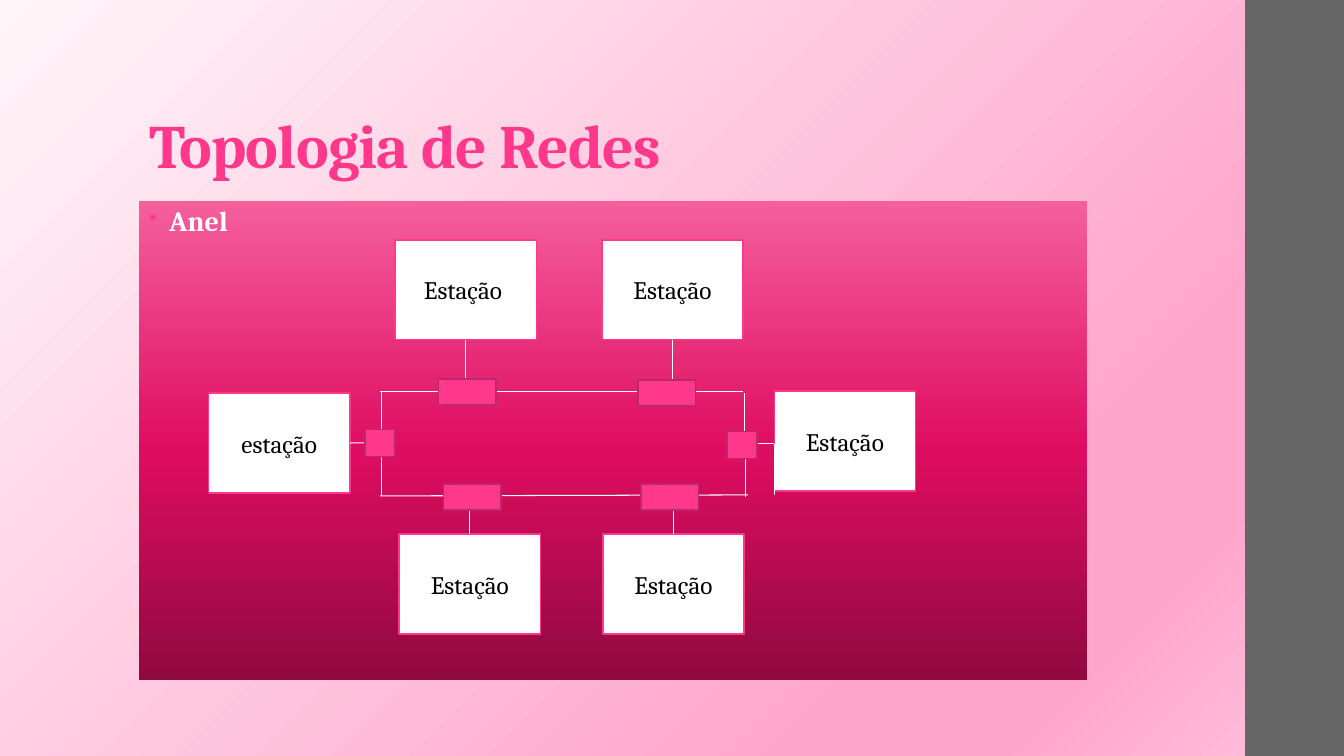
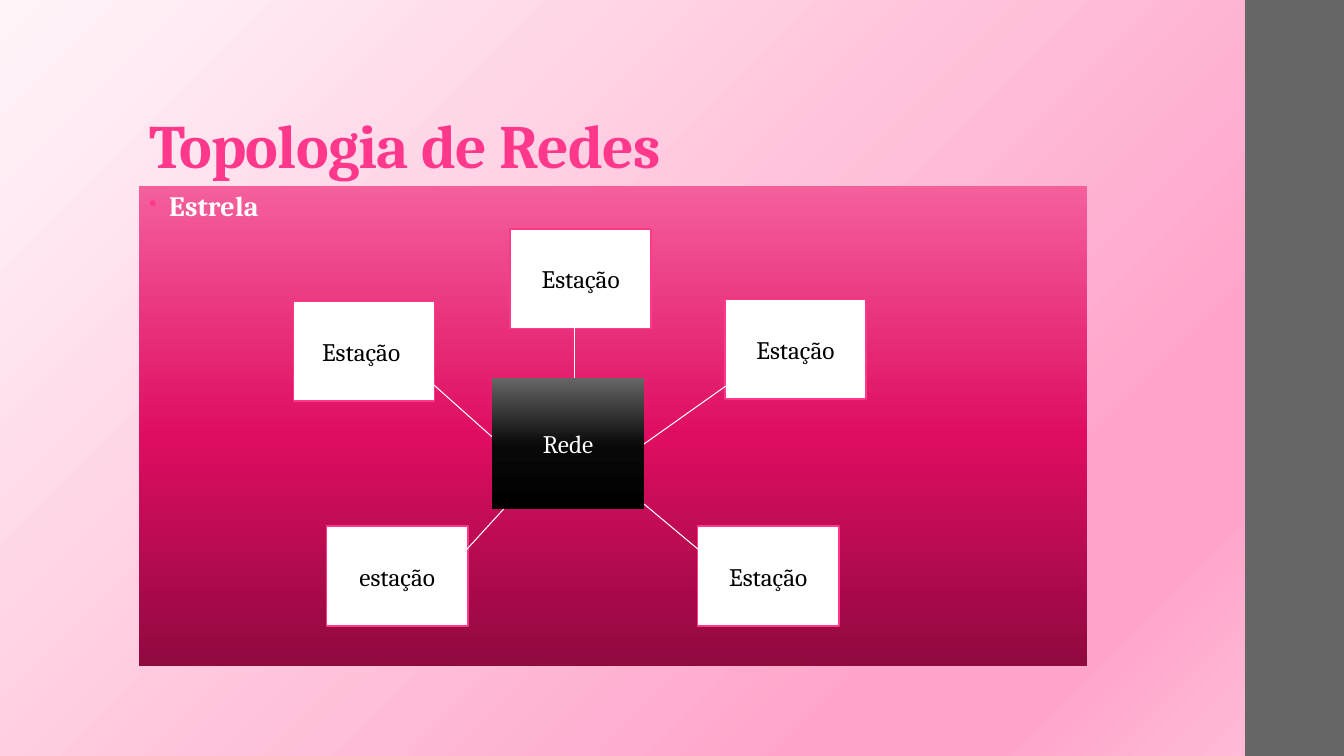
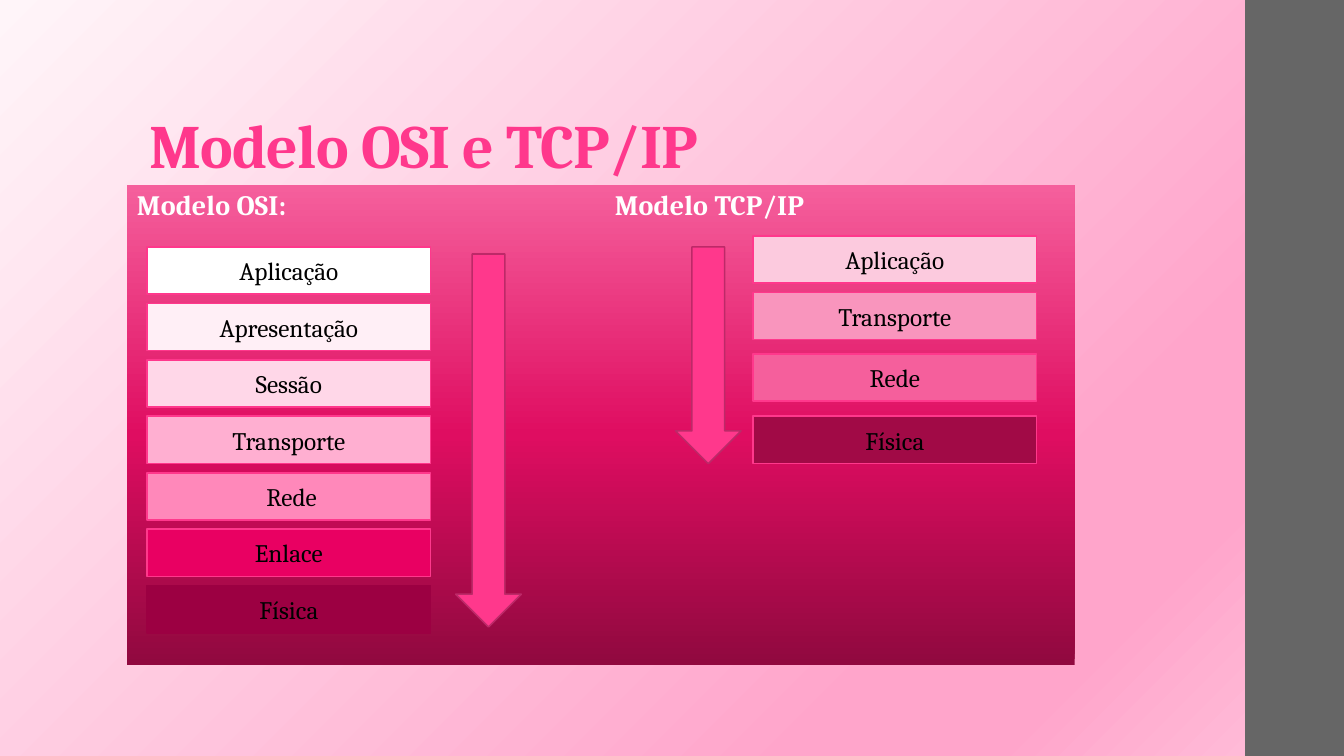
from dataclasses import dataclass

from lxml.etree import SubElement
from pptx import Presentation
from pptx.dml.color import RGBColor
from pptx.enum.shapes import MSO_CONNECTOR as Connector, MSO_SHAPE as Preset
from pptx.enum.text import MSO_ANCHOR as Anchor, PP_ALIGN as Align
from pptx.oxml.ns import qn
from pptx.util import Inches, Pt


@dataclass(frozen=True)
class Gradient:
    stops: tuple  # (percent, colour)
    angle: int    # counter-clockwise degrees


@dataclass(frozen=True)
class Theme:
    font: str = "Cambria"
    title_size: int = 44
    heading_size: int = 20
    label_size: int = 18
    accent: str = "FF388C"
    accent_dark: str = "BD2968"
    white: str = "FFFFFF"
    black: str = "000000"
    grey: str = "666666"
    osi_deep: str = "9C0042"
    outline: float = 1.1
    hairline: float = 0.75
    backdrop: Gradient = Gradient(
        ((0, "FFF5F9"), (74, "FFA5CB"), (83, "FFA5CB"), (100, "FFC3DC")), 315)
    panel: Gradient = Gradient(
        ((0, "90093F"), (48, "DF0D61"), (100, "F55F9C")), 90)
    hub: Gradient = Gradient(
        ((0, "000000"), (48, "080808"), (100, "666666")), 90)


THEME = Theme()
STATION = (1.4, 0.99)
LAYER = (2.81, 0.47)


class Slides:
    """Holds the deck, its theme and the page being drawn."""

    def __init__(self, theme):
        self.theme = theme
        self.deck = Presentation()
        self.deck.slide_width = Inches(13.33)
        self.deck.slide_height = Inches(7.5)
        self.page = None

    def paint(self, fill, colour, owner):
        """Fill with a plain colour or a gradient; owner is the XML that holds it."""
        if not isinstance(colour, Gradient):
            fill.solid()
            fill.fore_color.rgb = RGBColor.from_string(colour)
            return
        fill.gradient()
        fill.gradient_angle = colour.angle
        stops = owner.find(".//" + qn("a:gsLst"))
        for stop in list(stops):
            stops.remove(stop)
        for percent, value in colour.stops:
            stop = SubElement(stops, qn("a:gs"), pos=str(percent * 1000))
            SubElement(stop, qn("a:srgbClr"), val=value)

    def add_text(self, para, text, size, colour, bold=False, tracking=None):
        span = para.add_run()
        span.text = text
        formats = {"name": self.theme.font, "size": Pt(size), "bold": bold}
        for name, value in formats.items():
            setattr(span.font, name, value)
        span.font.color.rgb = RGBColor.from_string(colour)
        if tracking is not None:
            span.font._element.set("spc", str(tracking))

    def new_page(self, title):
        """Page with the backdrop, the side band and the title."""
        self.page = self.deck.slides.add_slide(self.deck.slide_layouts[6])
        self.paint(self.page.background.fill, self.theme.backdrop, self.page._element)
        self.shape((12.35, 0, 0.98, 7.5), self.theme.grey)
        box = self.page.shapes.add_textbox(*map(Inches, (1.38, 0.29, 10.6, 1.56)))
        formats = {"word_wrap": True, "vertical_anchor": Anchor.BOTTOM,
                   "margin_top": Inches(0.03), "margin_bottom": Inches(0.05)}
        for name, value in formats.items():
            setattr(box.text_frame, name, value)
        para = box.text_frame.paragraphs[0]
        para.line_spacing = 0.9
        self.add_text(para, title, self.theme.title_size, self.theme.accent, True, -50)

    def shape(self, at, fill, line=None, preset=Preset.RECTANGLE):
        box = self.page.shapes.add_shape(preset, *map(Inches, at))
        box.shadow.inherit = False
        self.paint(box.fill, fill, box._element)
        if line:
            box.line.color.rgb = RGBColor.from_string(line)
            box.line.width = Pt(self.theme.outline)
        else:
            box.line.fill.background()
        return box

    def panel(self, left, top, heading, bullet=False, tab=None):
        """Large gradient panel with its heading line at the top."""
        box = self.shape((left, top, 9.4, 4.76), self.theme.panel)
        box.text_frame.word_wrap = True
        box.text_frame.vertical_anchor = Anchor.TOP
        para = box.text_frame.paragraphs[0]
        para.alignment = Align.LEFT
        para.line_spacing = 0.95
        self.add_text(para, heading, self.theme.heading_size, self.theme.white, True, 10)
        props = para._p.get_or_add_pPr()
        if bullet:
            props.set("marL", str(Inches(0.2)))
            props.set("indent", str(-Inches(0.2)))
            colour = SubElement(props, qn("a:buClr"))
            SubElement(colour, qn("a:srgbClr"), val=self.theme.accent)
            SubElement(props, qn("a:buSzPct"), val="80000")
            SubElement(props, qn("a:buChar"), char="•")
        if tab:
            tabs = SubElement(props, qn("a:tabLst"))
            SubElement(tabs, qn("a:tab"), pos=str(Inches(tab)), algn="l")

    def label(self, at, text, fill, line=None, colour=None):
        """Rectangle with one centred word."""
        box = self.shape(at, fill, line)
        box.text_frame.word_wrap = True
        box.text_frame.vertical_anchor = Anchor.MIDDLE
        para = box.text_frame.paragraphs[0]
        para.alignment = Align.CENTER
        self.add_text(para, text, self.theme.label_size, colour or self.theme.black)
        return box

    def station(self, left, top, text="Estação"):
        return self.label((left, top, *STATION), text, self.theme.white, self.theme.accent)

    def node(self, left, top, width, height):
        self.shape((left, top, width, height), self.theme.accent, self.theme.accent_dark)

    def arrow(self, *at):
        self.shape(at, self.theme.accent, self.theme.accent_dark, Preset.DOWN_ARROW)

    def stack(self, left, tops, layers):
        for top, (text, fill) in zip(tops, layers):
            deep = fill == self.theme.osi_deep
            self.label((left, top, *LAYER), text, fill, fill if deep else self.theme.accent)

    def link(self, start, end, box=None, side=0):
        """Thin line; its start is joined to a side of box when one is given."""
        line = self.page.shapes.add_connector(
            Connector.STRAIGHT, *map(Inches, (*start, *end)))
        line.line.color.rgb = RGBColor.from_string(self.theme.white)
        line.line.width = Pt(self.theme.hairline)
        SubElement(line._element.spPr, qn("a:effectLst"))
        if box is not None:
            line.begin_connect(box, side)


def ring_page(slides):
    slides.new_page("Topologia de Redes")
    slides.panel(1.38, 1.99, "Anel", bullet=True)

    # Stations
    left_station = slides.station(2.07, 3.9, "estação")
    slides.station(7.68, 3.88)
    upper = [slides.station(3.92, 2.38, "Estação "), slides.station(5.97, 2.38)]
    lower = [slides.station(left, 5.3) for left in (3.96, 5.98)]

    # Ring, and the step beside the right station
    for start, end in (((3.77, 3.88), (7.37, 3.88)), ((3.77, 4.92), (7.42, 4.91)),
                       ((3.78, 3.88), (3.78, 4.92)), ((7.38, 3.9), (7.38, 4.4)),
                       ((7.39, 4.41), (7.39, 4.93)), ((7.38, 4.4), (7.68, 4.4)),
                       ((7.68, 4.4), (7.68, 4.91))):
        slides.link(start, end)

    # Taps from the stations to the ring
    slides.link((3.47, 4.39), (3.78, 4.39), left_station, 3)
    for boxes, xs, edge, ring, side in ((upper, (4.62, 6.67), 3.37, 3.9, 2),
                                        (lower, (4.66, 6.68), 5.3, 4.93, 0)):
        for box, x in zip(boxes, xs):
            slides.link((x, edge), (x, ring), box, side)

    # Nodes on the ring
    for left, top in ((4.4, 4.8), (6.36, 4.8), (4.35, 3.76), (6.33, 3.77)):
        slides.node(left, top, 0.57, 0.26)
    for left, top in ((3.62, 4.26), (7.21, 4.28)):
        slides.node(left, top, 0.3, 0.27)


def star_page(slides):
    slides.new_page("Topologia de Redes")
    slides.panel(1.38, 1.85, "Estrela", bullet=True)

    # Stations
    slides.station(3.24, 5.22, "estação")
    slides.station(2.91, 2.99, "Estação ")
    for left, top in ((5.06, 2.27), (6.92, 5.22), (7.19, 2.97)):
        slides.station(left, top)

    # Spokes, then the hub over their inner ends
    for start, end in (((4.17, 3.7), (5.1, 4.53)), ((4.42, 5.68), (5.16, 4.87)),
                       ((5.7, 2.97), (5.7, 4.02)), ((7.48, 3.63), (6.31, 4.46)),
                       ((7.32, 5.78), (6.16, 4.81))):
        slides.link(start, end)
    slides.label((4.88, 3.75, 1.51, 1.3), "Rede", slides.theme.hub,
                 colour=slides.theme.white)


def models_page(slides):
    slides.new_page("Modelo OSI e TCP/IP")
    slides.panel(1.26, 1.84, "Modelo OSI:\tModelo TCP/IP", tab=4.74)

    # OSI layers
    osi = (("Aplicação", slides.theme.white), ("Apresentação", "FFEFF6"),
           ("Sessão", "FFD7E8"), ("Transporte", "FFAFD1"), (" Rede", "FF88BA"),
           ("Enlace", "E90062"), ("Física", slides.theme.osi_deep))
    slides.stack(1.46, [2.45 + 0.56 * row for row in range(len(osi))], osi)
    slides.arrow(4.52, 2.52, 0.65, 3.7)

    # TCP/IP layers
    slides.stack(7.47, (2.34, 2.9, 3.51, 4.13),
                 (("Aplicação", "FCCADE"), ("Transporte", "F995BD"),
                  ("Rede", "F55F9C"), ("Física", "A10A46")))
    slides.arrow(6.7, 2.45, 0.65, 2.15)


def main():
    slides = Slides(THEME)
    for build in (ring_page, star_page, models_page):
        build(slides)
    slides.deck.save("out.pptx")


if __name__ == "__main__":
    main()
